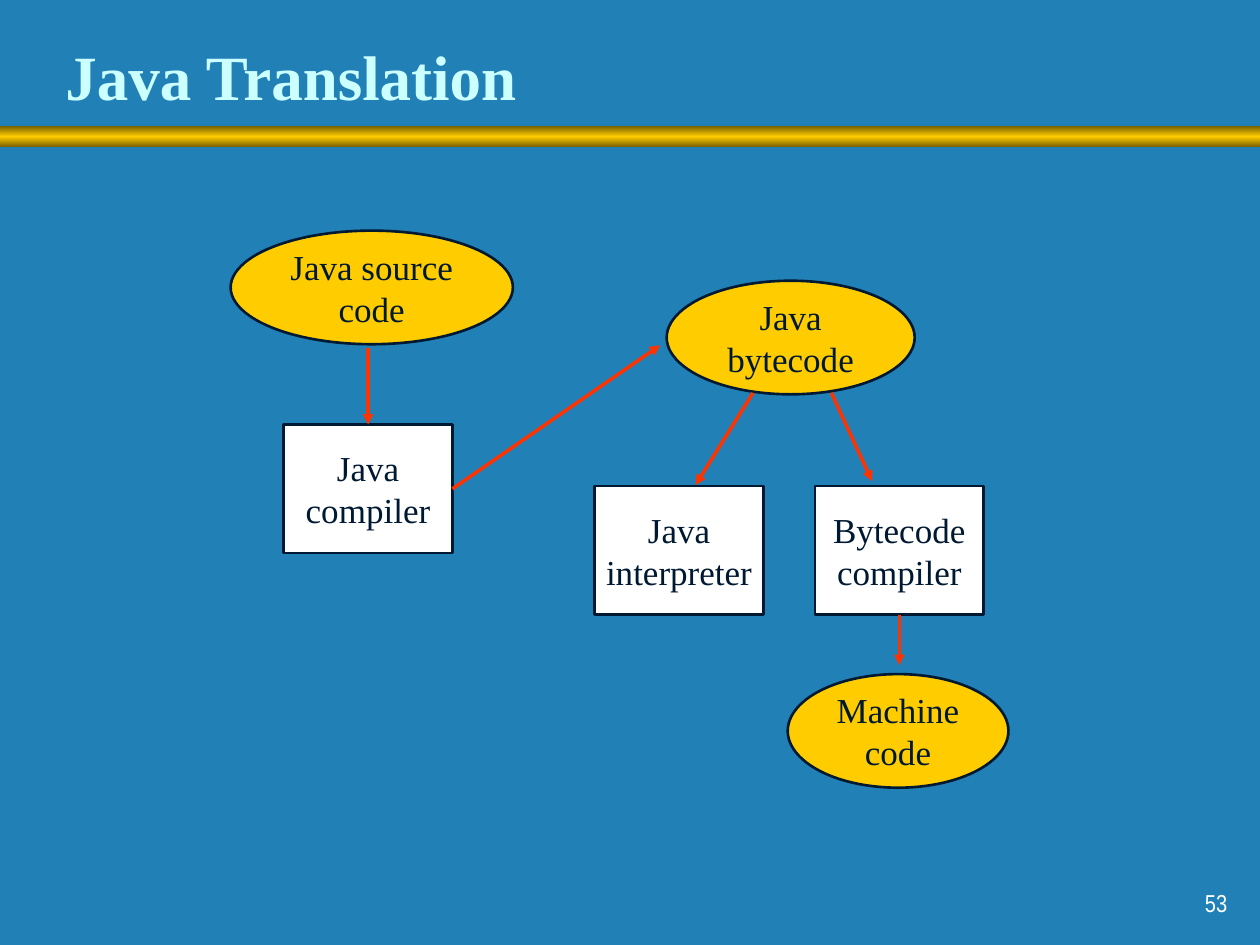
import copy

import pptx
import pptx.dml.color
import pptx.enum.shapes
import pptx.enum.text
import pptx.oxml.ns
import pptx.util
from pptx.util import Cm

SHAPES = pptx.enum.shapes.MSO_SHAPE
ALIGN = pptx.enum.text.PP_ALIGN
ANCHOR = pptx.enum.text.MSO_ANCHOR
NAVY, GOLD, DARK_GOLD, WHITE = "001932", "FFCC00", "755E00", "FFFFFF"


def color(hex_string):
    return pptx.dml.color.RGBColor.from_string(hex_string)


def write(shape, text, size, font, hex_color, align, anchor, bold=False):
    """Fill the shape with one paragraph per line of text."""
    frame = shape.text_frame
    frame.text = text
    frame.vertical_anchor = anchor
    for para in frame.paragraphs:
        para.alignment = align
        for span in para.runs:
            span.font.size = pptx.util.Pt(size)
            span.font.name = font
            span.font.bold = bold
            span.font.color.rgb = color(hex_color)


deck = pptx.Presentation()
deck.slide_width, deck.slide_height = Cm(25.4), Cm(19.05)
page = deck.slides.add_slide(deck.slide_layouts[6])
page.background.fill.solid()
page.background.fill.fore_color.rgb = color("2181B7")

# Gold band under the title
band = page.shapes.add_shape(SHAPES.RECTANGLE, 0, Cm(2.54), deck.slide_width, Cm(0.43))
band.shadow.inherit = False
band.line.fill.background()
band.fill.gradient()
band.fill.gradient_angle = 90
stop_list = band.element.spPr.find(".//" + pptx.oxml.ns.qn("a:gsLst"))
stop_list.append(copy.deepcopy(stop_list[0]))
for stop, position, shade in zip(band.fill.gradient_stops, (0, 0.5, 1),
                                 (DARK_GOLD, GOLD, DARK_GOLD)):
    stop.position = position
    stop.color.rgb = color(shade)

# Title and page number
title = page.shapes.add_textbox(Cm(1.07), Cm(0.56), Cm(21.72), Cm(1.9))
title.text_frame.word_wrap = True
write(title, "Java Translation", 36, "Times New Roman", "CCFFFF",
      ALIGN.LEFT, ANCHOR.MIDDLE, bold=True)
number = page.shapes.add_textbox(Cm(19.71), Cm(17.35), Cm(5.28), Cm(1.27))
number.text_frame.word_wrap = True
write(number, "53", 14, "Arial Narrow", WHITE, ALIGN.RIGHT, ANCHOR.BOTTOM)

# Ellipses are code, rectangles are programs
code, program = (SHAPES.OVAL, GOLD, 2.29), (SHAPES.RECTANGLE, WHITE, 2.59)
nodes = [
    ("Java source\ncode", code, 4.65, 4.65, 5.69),
    ("Machine\ncode", code, 15.88, 13.59, 4.45),
    ("Java\nbytecode", code, 13.44, 5.66, 5),
    ("Java\ninterpreter", program, 11.99, 9.8, 3.4),
    ("Bytecode\ncompiler", program, 16.43, 9.8, 3.4),
    ("Java\ncompiler", program, 5.72, 8.56, 3.4),
]
boxes = {}
for text, (kind, fill, height), left, top, width in nodes:
    box = page.shapes.add_shape(kind, Cm(left), Cm(top), Cm(width), Cm(height))
    box.shadow.inherit = False
    box.fill.solid()
    box.fill.fore_color.rgb = color(fill)
    box.line.color.rgb = color(NAVY)
    box.line.width = pptx.util.Pt(1.5)
    box.text_frame.word_wrap = False
    write(box, text, 20, "Times New Roman", NAVY, ALIGN.CENTER, ANCHOR.MIDDLE)
    boxes[text] = box

# Arrows: start and end, then the box and side where the start or end is joined
java_compiler, bytecode_compiler = boxes["Java\ncompiler"], boxes["Bytecode\ncompiler"]
arrows = [
    (7.42, 7.01, 7.42, 8.56, None, (java_compiler, 0)),
    (9.12, 9.86, 13.31, 6.96, (java_compiler, 3), None),
    (15.18, 7.92, 14.02, 9.78, None, None),
    (16.76, 7.92, 17.58, 9.7, None, None),
    (18.13, 12.39, 18.13, 13.41, (bytecode_compiler, 2), None),
]
for x1, y1, x2, y2, start, end in arrows:
    arrow = page.shapes.add_connector(pptx.enum.shapes.MSO_CONNECTOR.STRAIGHT,
                                      Cm(x1), Cm(y1), Cm(x2), Cm(y2))
    if start:
        arrow.begin_connect(*start)
    if end:
        arrow.end_connect(*end)
    arrow.line.color.rgb = color("FF3300")
    arrow.line.width = pptx.util.Pt(2)
    head = pptx.oxml.parse_xml(
        '<a:tailEnd %s type="triangle"/>' % pptx.oxml.ns.nsdecls("a"))
    arrow.line._get_or_add_ln().append(head)
    arrow.element.spPr.append(
        pptx.oxml.parse_xml("<a:effectLst %s/>" % pptx.oxml.ns.nsdecls("a")))

deck.save("out.pptx")
